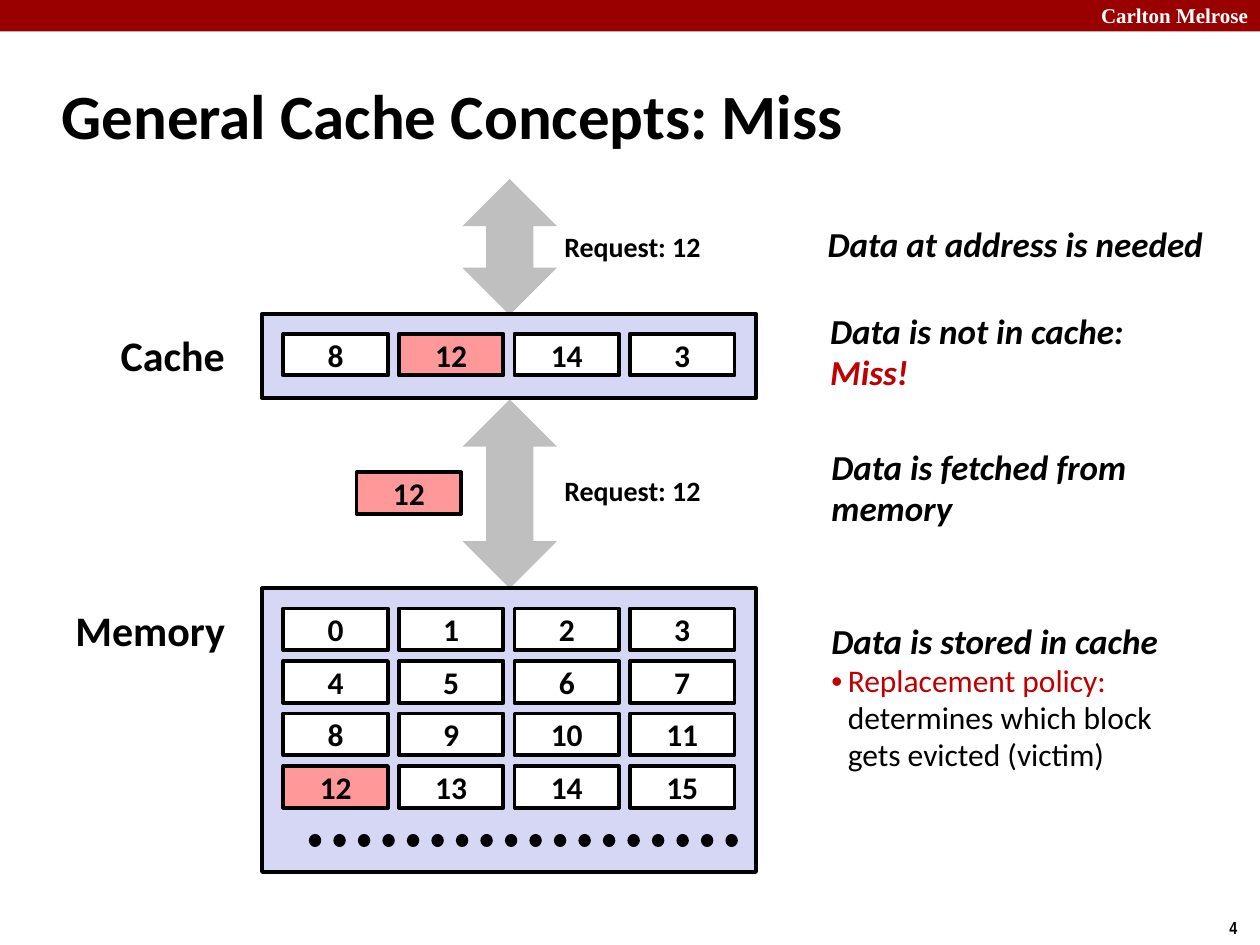
from dataclasses import dataclass

from lxml.etree import SubElement
from pptx import Presentation
from pptx.dml.color import RGBColor
from pptx.enum.dml import MSO_LINE_DASH_STYLE as Dash
from pptx.enum.shapes import MSO_CONNECTOR, MSO_SHAPE as Preset
from pptx.enum.text import MSO_ANCHOR as Anchor, MSO_AUTO_SIZE as AutoSize, PP_ALIGN as Align
from pptx.oxml.ns import qn
from pptx.util import Inches, Pt

COLORS = {
    "banner": "990000", "arrow": "BFBFBF", "panel": "D6D6F5", "white": "FFFFFF",
    "requested": "FF9999", "black": "000000", "accent": "C00000",
}
BLOCK_WIDTH, BLOCK_HEIGHT = 0.83, 0.33
COLUMN_PITCH, ROW_PITCH = 2.75 / 3, 1.25 / 3
GRID_LEFT = 2.25
REQUESTED = 12


@dataclass
class Run:
    text: str
    size: float
    color: str = "black"
    bold: bool = True
    italic: bool = False
    font: str = "Calibri"


@dataclass
class Label:
    left: float
    top: float
    width: float
    height: float
    paragraphs: list[list[Run]]
    anchor: Anchor = Anchor.TOP
    align: Align = Align.LEFT
    wrap: bool = False
    spacing: float = 1.0


def color(name: str) -> RGBColor:
    return RGBColor.from_string(COLORS[name])


def add_runs(paragraph, runs: list[Run]) -> None:
    for item in runs:
        for index, line in enumerate(item.text.split("\n")):
            if index:
                paragraph.add_line_break()
            if not line:
                continue
            run = paragraph.add_run()
            run.text = line
            run.font.name = item.font
            run.font.size = Pt(item.size)
            run.font.bold = item.bold
            run.font.italic = item.italic
            run.font.color.rgb = color(item.color)


def add_box(slide, preset: Preset, left: float, top: float, width: float, height: float,
            fill: str, outlined: bool = True):
    shape = slide.shapes.add_shape(preset, Inches(left), Inches(top), Inches(width), Inches(height))
    shape.shadow.inherit = False
    shape.fill.solid()
    shape.fill.fore_color.rgb = color(fill)
    if outlined:
        shape.line.color.rgb = color("black")
        shape.line.width = Pt(2.25)
    else:
        shape.line.fill.background()
    return shape


def add_block(slide, left: float, top: float, number: int) -> None:
    fill = "requested" if number == REQUESTED else "white"
    shape = add_box(slide, Preset.RECTANGLE, left, top, BLOCK_WIDTH, BLOCK_HEIGHT, fill)
    shape.text_frame.vertical_anchor = Anchor.MIDDLE
    paragraph = shape.text_frame.paragraphs[0]
    paragraph.alignment = Align.CENTER
    add_runs(paragraph, [Run(str(number), 18)])


def add_blocks(slide, top: float, rows: list[list[int]]) -> None:
    for row, numbers in enumerate(rows):
        for column, number in enumerate(numbers):
            add_block(slide, GRID_LEFT + column * COLUMN_PITCH, top + row * ROW_PITCH, number)


def add_label(slide, label: Label):
    shape = slide.shapes.add_textbox(
        Inches(label.left), Inches(label.top), Inches(label.width), Inches(label.height))
    frame = shape.text_frame
    frame.word_wrap = label.wrap
    frame.auto_size = AutoSize.NONE if label.wrap else AutoSize.SHAPE_TO_FIT_TEXT
    frame.vertical_anchor = label.anchor
    for index, runs in enumerate(label.paragraphs):
        paragraph = frame.add_paragraph() if index else frame.paragraphs[0]
        paragraph.alignment = label.align
        paragraph.line_spacing = label.spacing
        add_runs(paragraph, runs)
    return shape


def add_bullet(paragraph) -> None:
    properties = paragraph._p.get_or_add_pPr()
    properties.set("marL", str(Inches(0.13)))
    properties.set("indent", str(-Inches(0.13)))
    SubElement(properties, qn("a:buFont")).set("typeface", "Arial")
    SubElement(properties, qn("a:buChar")).set("char", "•")


def add_dotted_line(slide, left: float, right: float, y: float) -> None:
    connector = slide.shapes.add_connector(
        MSO_CONNECTOR.STRAIGHT, Inches(left), Inches(y), Inches(right), Inches(y))
    connector.line.color.rgb = color("black")
    connector.line.width = Pt(7)
    connector.line.dash_style = Dash.ROUND_DOT
    connector.line._get_or_add_ln().set("cap", "rnd")
    SubElement(connector._element.spPr, qn("a:effectLst"))


def step(left: float, top: float, width: float, height: float,
         paragraphs: list[list[Run]]) -> Label:
    return Label(left, top, width, height, paragraphs, Anchor.MIDDLE, spacing=0.98)


def headline(text: str, name: str = "black") -> list[Run]:
    return [Run(text, 20, name, italic=True)]


presentation = Presentation()
presentation.slide_width, presentation.slide_height = Inches(10), Inches(7.5)
slide = presentation.slides.add_slide(presentation.slide_layouts[6])

# Banner, page number and title
add_box(slide, Preset.RECTANGLE, 0, 0, 10, 0.25, "banner", outlined=False)
add_label(slide, Label(8.64, -0.03, 1.43, 0.3,
                       [[Run("Carlton Melrose", 12, "white", font="Times New Roman")]], wrap=True))
add_label(slide, Label(9.66, 7.23, 0.34, 0.27, [[Run("4", 10, font="Arial Narrow")]]))
add_label(slide, Label(0.39, 0.49, 8.3, 0.83, [[Run("General Cache Concepts: Miss", 36)]],
                       Anchor.MIDDLE, wrap=True))

# Transfer arrows
for top, height in ((1.42, 1.08), (3.17, 1.5)):
    add_box(slide, Preset.UP_DOWN_ARROW, 3.67, top, 0.75, height, "arrow", outlined=False)

# Memory and cache panels with their blocks
for top, height in ((4.67, 2.25), (2.49, 0.67)):
    add_box(slide, Preset.RECTANGLE, 2.08, top, 3.92, height, "panel")
add_blocks(slide, 4.83, [list(range(start, start + 4)) for start in range(0, 16, 4)])
add_blocks(slide, 2.65, [[8, REQUESTED, 14, 3]])
add_block(slide, 2.83, 3.75, REQUESTED)
add_dotted_line(slide, 2.5, 5.83, 6.67)

# Panel names and requests
add_label(slide, Label(0.86, 2.57, 1.04, 0.5, [[Run("Cache", 24)]]))
add_label(slide, Label(0.5, 4.75, 1.4, 0.5, [[Run("Memory", 24)]]))
for top in (1.77, 3.71):
    add_label(slide, Label(4.37, top, 1.3, 0.37, [[Run("Request: 12", 16)]], align=Align.CENTER))

# Explanation of each step
add_label(slide, step(6.47, 1.73, 3.27, 0.43, [headline("Data at address is needed")]))
add_label(slide, step(6.49, 2.42, 2.62, 0.76,
                      [headline("Data is not in cache:"), headline("Miss!", "accent")]))
add_label(slide, step(6.5, 3.5, 2.64, 0.76,
                      [headline("Data is fetched from"), headline("memory")]))
storing = add_label(slide, step(6.5, 4.88, 2.89, 1.32, [
    headline("Data is stored in cache"),
    [Run("Replacement policy:\n", 18, "accent", bold=False),
     Run("determines which block\ngets evicted (victim)", 18, bold=False)],
]))
add_bullet(storing.text_frame.paragraphs[1])

presentation.save("out.pptx")
